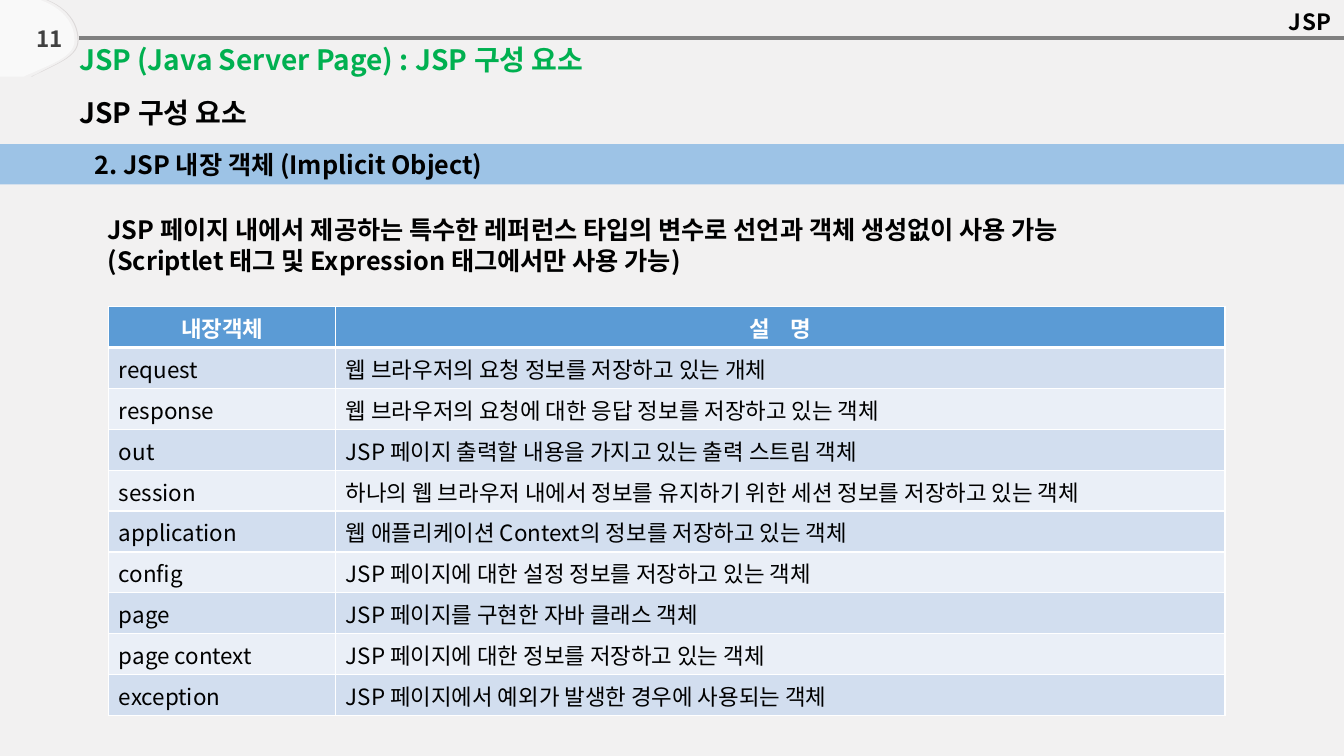
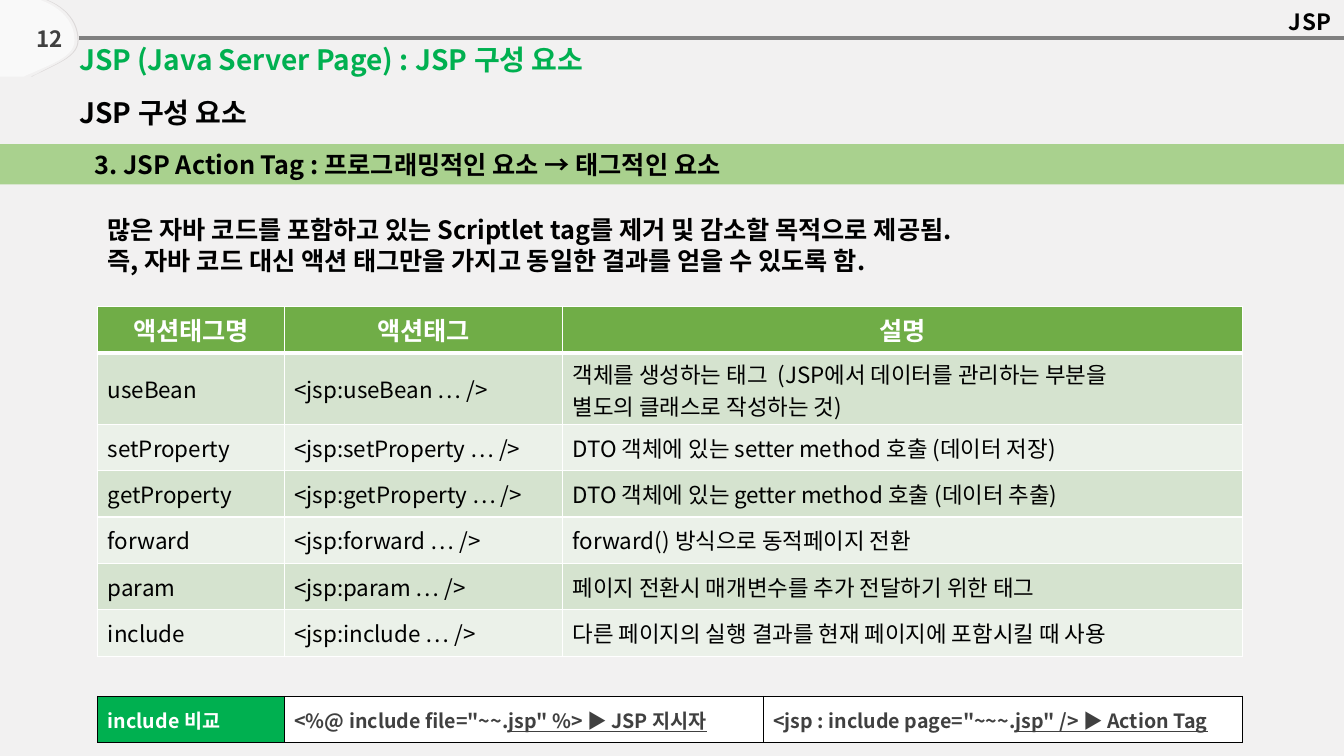
from lxml import etree
from pptx import Presentation
from pptx.dml.color import RGBColor
from pptx.enum.shapes import MSO_CONNECTOR, MSO_SHAPE
from pptx.enum.text import MSO_ANCHOR, PP_ALIGN
from pptx.oxml import parse_xml
from pptx.oxml.ns import nsdecls, qn
from pptx.util import Inches, Pt

FONT = "Noto Sans CJK KR"
WIDTH, HEIGHT = 13.33, 7.5
COLORS = {
    "background": "F2F1F1", "rule": "808080", "rim": "DBD8D8",
    "white": "FFFFFF", "black": "000000", "gray": "404040", "green": "00B050",
}
BLUE = {"band": "9DC3E6", "header": "5B9BD5", "odd": "D2DEEF", "even": "EAEFF7"}
GREEN = {"band": "A9D18E", "header": "70AD47", "odd": "D5E3CF", "even": "EBF1E9"}

TITLE = "JSP (Java Server Page) : JSP 구성 요소"
HEADING = "JSP 구성 요소"
HEADER_INSETS = (0.12, 0.12, 0.12, 0.1)

# Edges of the corner badge: a start point, then three points per Bézier curve
BADGE_EDGE = [(0.4, 0), (0.62, 0.08), (0.74, 0.23), (0.74, 0.4),
              (0.74, 0.55), (0.55, 0.62), (0.35, 0.71),
              (0.31, 0.73), (0.27, 0.74), (0.24, 0.76)]
RIM_INNER = [(0.46, 0), (0.66, 0.08), (0.77, 0.23), (0.77, 0.4),
             (0.77, 0.55), (0.59, 0.62), (0.41, 0.71),
             (0.38, 0.73), (0.35, 0.74), (0.31, 0.76)]
RIM_OUTER = [(0.47, 0), (0.67, 0.08), (0.78, 0.23), (0.78, 0.4),
             (0.78, 0.55), (0.6, 0.62), (0.42, 0.71),
             (0.38, 0.73), (0.35, 0.74), (0.32, 0.76)]

IMPLICIT_OBJECTS = [
    ["내장객체", ["설", (" ", {"spacing": 10.7}), "명"]],
    ["request", "웹 브라우저의 요청 정보를 저장하고 있는 개체"],
    ["response", "웹 브라우저의 요청에 대한 응답 정보를 저장하고 있는 객체"],
    ["out", "JSP 페이지 출력할 내용을 가지고 있는 출력 스트림 객체"],
    ["session", "하나의 웹 브라우저 내에서 정보를 유지하기 위한 세션 정보를 저장하고 있는 객체"],
    ["application", "웹 애플리케이션 Context의 정보를 저장하고 있는 객체"],
    ["config", "JSP 페이지에 대한 설정 정보를 저장하고 있는 객체"],
    ["page", "JSP 페이지를 구현한 자바 클래스 객체"],
    ["page context", "JSP 페이지에 대한 정보를 저장하고 있는 객체"],
    ["exception", "JSP 페이지에서 예외가 발생한 경우에 사용되는 객체"],
]
ACTION_TAGS = [
    ["액션태그명", "액션태그", "설명"],
    ["useBean", "<jsp:useBean … />",
     ["객체를 생성하는 태그", (" ", {"spacing": 3.6}),
      "(JSP에서 데이터를 관리하는 부분을\n별도의 클래스로 작성하는 것)"]],
    ["setProperty", "<jsp:setProperty … />", "DTO 객체에 있는 setter method 호출 (데이터 저장)"],
    ["getProperty", "<jsp:getProperty … />", "DTO 객체에 있는 getter method 호출 (데이터 추출)"],
    ["forward", "<jsp:forward … />", "forward() 방식으로 동적페이지 전환"],
    ["param", "<jsp:param … />", "페이지 전환시 매개변수를 추가 전달하기 위한 태그"],
    ["include", "<jsp:include … />", "다른 페이지의 실행 결과를 현재 페이지에 포함시킬 때 사용"],
]
INCLUDE_COMPARISON = [
    "include 비교",
    ['<%@ include file="~~.', ('jsp" %> ▶ JSP 지시자', {"underline": True})],
    ['<jsp : include page="~~~.', ('jsp" /> ▶ Action Tag', {"underline": True})],
]


def set_fill(fill, color):
    fill.solid()
    fill.fore_color.rgb = RGBColor.from_string(color)


def add_run(paragraph, text, size, color, bold=True, underline=None, spacing=0):
    run = paragraph.add_run()
    run.text = text
    font = run.font
    font.name, font.size, font.bold, font.underline = FONT, Pt(size), bold, underline
    set_fill(font.fill, color)
    properties = run._r.get_or_add_rPr()
    etree.SubElement(properties, qn("a:ea"), typeface=FONT)
    if spacing:
        properties.set("spc", str(round(spacing * 100)))


def add_content(paragraph, content, **style):
    """Write a string, or a list of strings and (string, style) pairs."""
    for part in [content] if isinstance(content, str) else content:
        text, changes = (part, {}) if isinstance(part, str) else part
        for index, line in enumerate(text.split("\n")):
            if index:
                paragraph.add_line_break()
            add_run(paragraph, line, **{**style, **changes})


def add_text(slide, box, lines, size, color=COLORS["black"], align=PP_ALIGN.LEFT,
             anchor=MSO_ANCHOR.TOP, insets=(0.1, 0.05, 0.1, 0.05), spacing=0):
    frame = slide.shapes.add_textbox(*map(Inches, box)).text_frame
    frame.word_wrap = True
    frame.vertical_anchor = anchor
    (frame.margin_left, frame.margin_top,
     frame.margin_right, frame.margin_bottom) = map(Inches, insets)
    for index, line in enumerate(lines):
        paragraph = frame.add_paragraph() if index else frame.paragraphs[0]
        paragraph.alignment = align
        add_run(paragraph, line, size, color, spacing=spacing)


def trace(edge, steps=12):
    """Points along a chain of cubic Bézier curves."""
    points = [edge[0]]
    for first in range(0, len(edge) - 1, 3):
        controls = edge[first:first + 4]
        for step in range(1, steps + 1):
            t = step / steps
            weights = ((1 - t) ** 3, 3 * t * (1 - t) ** 2, 3 * t * t * (1 - t), t ** 3)
            points.append(tuple(sum(w * c[axis] for w, c in zip(weights, controls))
                                for axis in (0, 1)))
    return points


def add_outline(slide, points, color, opacity=100):
    start, *rest = [(Inches(x), Inches(y)) for x, y in points]
    builder = slide.shapes.build_freeform(*start)
    builder.add_line_segments(rest, close=True)
    outline = builder.convert_to_shape()
    outline.shadow.inherit = False
    outline.line.fill.background()
    set_fill(outline.fill, color)
    if opacity < 100:
        tint = outline._element.spPr.find(f"{qn('a:solidFill')}/{qn('a:srgbClr')}")
        etree.SubElement(tint, qn("a:alpha"), val=str(opacity * 1000))


def add_rule(slide):
    rule = slide.shapes.add_connector(MSO_CONNECTOR.STRAIGHT, Inches(0.78), Inches(0.38),
                                      Inches(WIDTH), Inches(0.38))
    rule.line.width = Pt(3)
    set_fill(rule.line.fill, COLORS["rule"])
    etree.SubElement(rule._element.spPr, qn("a:effectLst"))


def add_band(slide, text, color):
    band = slide.shapes.add_shape(MSO_SHAPE.RECTANGLE, 0, Inches(1.43),
                                  Inches(WIDTH), Inches(0.4))
    band.shadow.inherit = False
    band.line.fill.background()
    set_fill(band.fill, color)
    frame = band.text_frame
    frame.word_wrap = True
    frame.vertical_anchor = MSO_ANCHOR.TOP
    paragraph = frame.paragraphs[0]
    paragraph.alignment = PP_ALIGN.LEFT
    properties = paragraph._p.get_or_add_pPr()
    properties.set("marL", "0")
    properties.set("indent", str(Inches(0.84)))
    add_run(paragraph, text, 18, COLORS["black"])


def set_borders(cell, color, top=1, bottom=1):
    properties = cell._tc.get_or_add_tcPr()
    for index, (side, width) in enumerate(zip("LRTB", (1, 1, top, bottom))):
        properties.insert(index, parse_xml(
            f'<a:ln{side} {nsdecls("a")} w="{Pt(width)}"><a:solidFill>'
            f'<a:srgbClr val="{color}"/></a:solidFill></a:ln{side}>'))


def add_grid(slide, left, top, widths, heights):
    grid = slide.shapes.add_table(len(heights), len(widths), Inches(left), Inches(top),
                                  Inches(sum(widths)), Inches(sum(heights))).table
    grid.first_row = grid.horz_banding = False
    for column, width in zip(grid.columns, widths):
        column.width = Inches(width)
    for row, height in zip(grid.rows, heights):
        row.height = Inches(height)
    return grid


def fill_cell(cell, content, fill, anchor, align=PP_ALIGN.LEFT, **style):
    set_fill(cell.fill, fill)
    cell.vertical_anchor = anchor
    paragraph = cell.text_frame.paragraphs[0]
    paragraph.alignment = align
    add_content(paragraph, content, **style)


def add_banded_table(slide, left, widths, heights, rows, theme, header_size, anchor):
    grid = add_grid(slide, left, 3.04, widths, heights)
    for r, row in enumerate(rows):
        for c, content in enumerate(row):
            cell = grid.cell(r, c)
            if r == 0:
                fill_cell(cell, content, theme["header"], anchor, PP_ALIGN.CENTER,
                          size=header_size, color=COLORS["white"])
            else:
                fill_cell(cell, content, theme["odd" if r % 2 else "even"], anchor,
                          size=16, color=COLORS["black"], bold=False)
            set_borders(cell, COLORS["white"], top=3 if r == 1 else 1,
                        bottom=3 if r == 0 else 1)


def add_comparison(slide):
    grid = add_grid(slide, 0.97, 6.91, [1.85, 4.75, 4.75], [0.46])
    for c, content in enumerate(INCLUDE_COMPARISON):
        fill, color = ("white", "gray") if c else ("green", "white")
        fill_cell(grid.cell(0, c), content, COLORS[fill], MSO_ANCHOR.MIDDLE,
                  size=14, color=COLORS[color])
        set_borders(grid.cell(0, c), COLORS["black"])


def add_topic_slide(prs, number, topic, summary, theme):
    """Slide with the shared header, a topic band and a two-line summary."""
    slide = prs.slides.add_slide(prs.slide_layouts[6])
    add_rule(slide)
    add_outline(slide, [(0, 0), *trace(BADGE_EDGE), (0, 0.76)], COLORS["white"], 60)
    add_outline(slide, trace(RIM_OUTER) + trace(RIM_INNER)[::-1], COLORS["rim"])
    add_text(slide, (0, 0.12, 0.74, 0.5), [str(number)], 16, COLORS["gray"],
             PP_ALIGN.RIGHT, MSO_ANCHOR.BOTTOM, HEADER_INSETS)
    add_text(slide, (0.69, 0.9, 6.68, 0.44), [HEADING], 20)
    add_band(slide, topic, theme["band"])
    add_text(slide, (0.69, 0.37, 6.68, 0.44), [TITLE], 20, COLORS["green"])
    add_text(slide, (9.3, 0, 4.03, 0.4), ["JSP"], 16, align=PP_ALIGN.RIGHT,
             anchor=MSO_ANCHOR.MIDDLE, insets=HEADER_INSETS, spacing=0.5)
    add_text(slide, (0.97, 2.08, 11.8, 0.71), summary, 18)
    return slide


def main():
    prs = Presentation()
    prs.slide_width, prs.slide_height = Inches(WIDTH), Inches(HEIGHT)
    set_fill(prs.slide_master.background.fill, COLORS["background"])

    objects = add_topic_slide(
        prs, 11, "2. JSP 내장 객체 (Implicit Object)",
        ["JSP 페이지 내에서 제공하는 특수한 레퍼런스 타입의 변수로 선언과 객체 생성없이 사용 가능",
         "(Scriptlet 태그 및 Expression 태그에서만 사용 가능)"], BLUE)
    row_count = len(IMPLICIT_OBJECTS)
    add_banded_table(objects, 1.08, [2.25, 8.82], [4.06 / row_count] * row_count,
                     IMPLICIT_OBJECTS, BLUE, 16, MSO_ANCHOR.TOP)

    actions = add_topic_slide(
        prs, 12, "3. JSP Action Tag : 프로그래밍적인 요소 → 태그적인 요소",
        ["많은 자바 코드를 포함하고 있는 Scriptlet tag를 제거 및 감소할 목적으로 제공됨.",
         "즉, 자바 코드 대신 액션 태그만을 가지고 동일한 결과를 얻을 수 있도록 함."], GREEN)
    add_banded_table(actions, 0.97, [1.85, 2.76, 6.74], [0.46, 0.71] + [0.46] * 5,
                     ACTION_TAGS, GREEN, 18, MSO_ANCHOR.MIDDLE)
    add_comparison(actions)

    prs.save("out.pptx")


if __name__ == "__main__":
    main()
